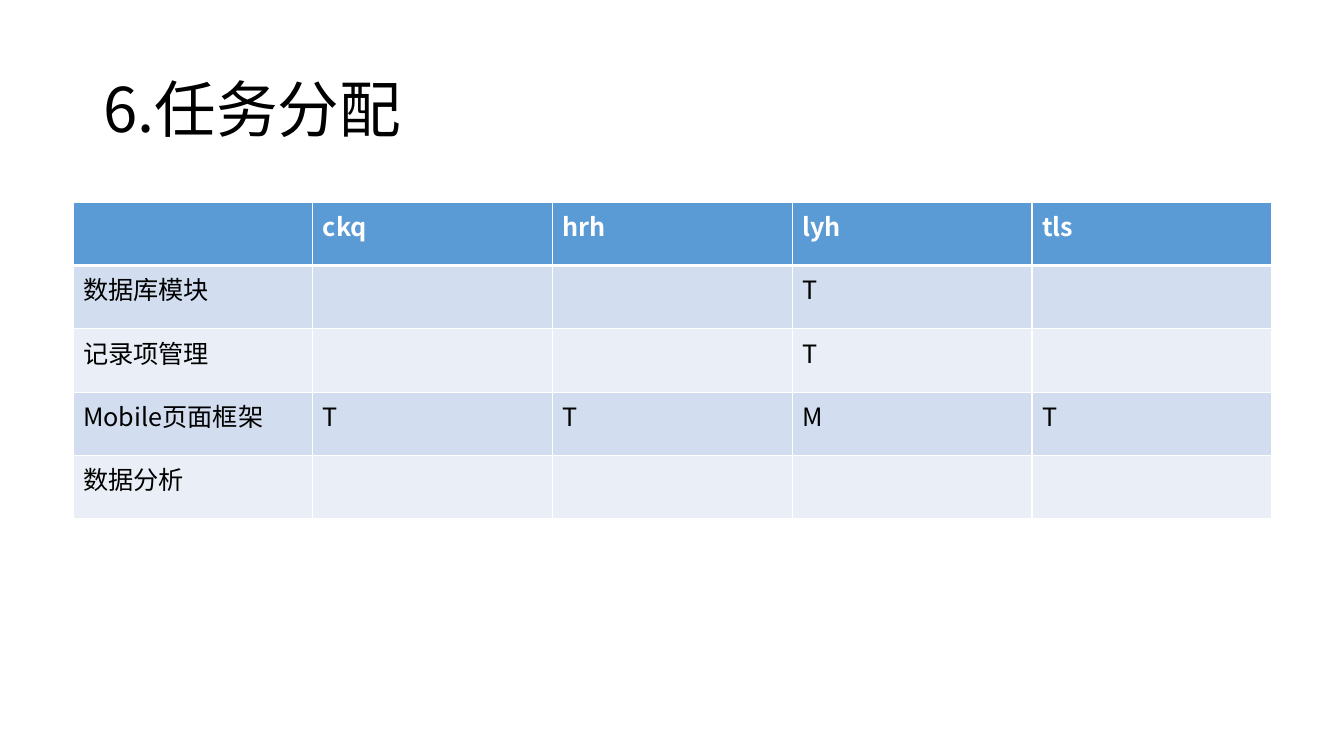
from dataclasses import dataclass

from lxml import etree
from pptx import Presentation
from pptx.dml.color import RGBColor
from pptx.enum.text import MSO_ANCHOR, PP_ALIGN
from pptx.oxml.ns import qn
from pptx.util import Pt

LEFT = PP_ALIGN.LEFT
MIDDLE = MSO_ANCHOR.MIDDLE
TITLE_ONLY = 5
SCALE = 914400 / 100.8  # EMU per pixel


@dataclass(frozen=True)
class Theme:
    font: str = "Noto Sans CJK SC"
    black: str = "000000"
    white: str = "FFFFFF"
    head: str = "5B9BD5"
    bands: tuple = ("D2DEEF", "EAEFF7")
    title: int = 44
    body: int = 18
    thin: int = 1
    thick: int = 3


THEME = Theme()

TASKS = [
    ["", "ckq", "hrh", "lyh", "tls"],
    ["数据库模块", "", "", "T", ""],
    ["记录项管理", "", "", "T", ""],
    ["Mobile页面框架", "T", "T", "M", "T"],
    ["数据分析", "", "", "", ""],
]


def px(n):
    return round(n * SCALE)


def style(frame, size, color, bold=False):
    for par in frame.paragraphs:
        for run in par.runs:
            font = run.font
            font.name, font.size, font.bold = THEME.font, Pt(size), bold
            font.color.rgb = RGBColor.from_string(color)
            east = etree.SubElement(font._element, qn("a:ea"))
            east.set("typeface", THEME.font)


def border(cell, sides):
    """Draw white cell borders; sides maps a side letter to points."""
    props = cell._tc.get_or_add_tcPr()
    for i, (side, width) in enumerate(sides.items()):
        line = etree.Element(qn(f"a:ln{side}"), w=str(Pt(width)))
        fill = etree.SubElement(line, qn("a:solidFill"))
        etree.SubElement(fill, qn("a:srgbClr"), val=THEME.white)
        props.insert(i, line)


def add_title(slide, box, text):
    title = slide.shapes.title
    title.left, title.top, title.width, title.height = map(px, box)
    frame = title.text_frame
    frame.text = text
    frame.vertical_anchor = MIDDLE
    par = frame.paragraphs[0]
    par.alignment, par.line_spacing = LEFT, 0.9
    style(frame, THEME.title, THEME.black)


def add_grid(slide, box, rows):
    count, width = len(rows), len(rows[0])
    table = slide.shapes.add_table(count, width, *map(px, box)).table
    for col in table.columns:
        col.width = px(box[2] / width)
    for r, texts in enumerate(rows):
        table.rows[r].height = px(box[3] / count)
        head = r == 0
        back = THEME.head if head else THEME.bands[(r - 1) % 2]
        sides = dict.fromkeys("LRTB", THEME.thin)
        if head:
            sides["B"] = THEME.thick
        elif r == 1:
            sides["T"] = THEME.thick
        for c, text in enumerate(texts):
            cell = table.cell(r, c)
            cell.fill.solid()
            cell.fill.fore_color.rgb = RGBColor.from_string(back)
            border(cell, sides)
            if text:
                cell.text_frame.text = text
                ink = THEME.white if head else THEME.black
                style(cell.text_frame, THEME.body, ink, bold=head)


# Deck
deck = Presentation()
deck.slide_width, deck.slide_height = px(1344), px(756)
slide = deck.slides.add_slide(deck.slide_layouts[TITLE_ONLY])

# Title and task table
add_title(slide, (93, 40, 1159, 146), "6.任务分配")
add_grid(slide, (73, 202, 1199, 317), TASKS)

deck.save("out.pptx")
